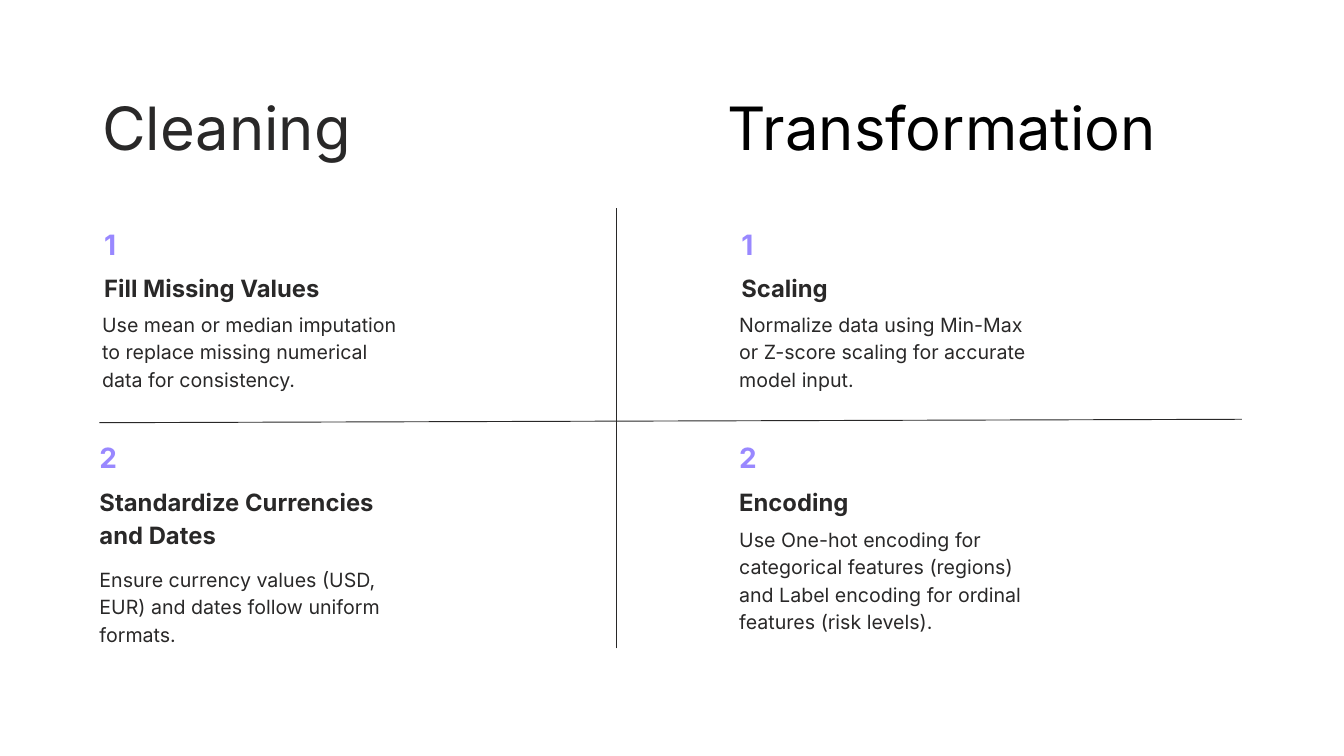
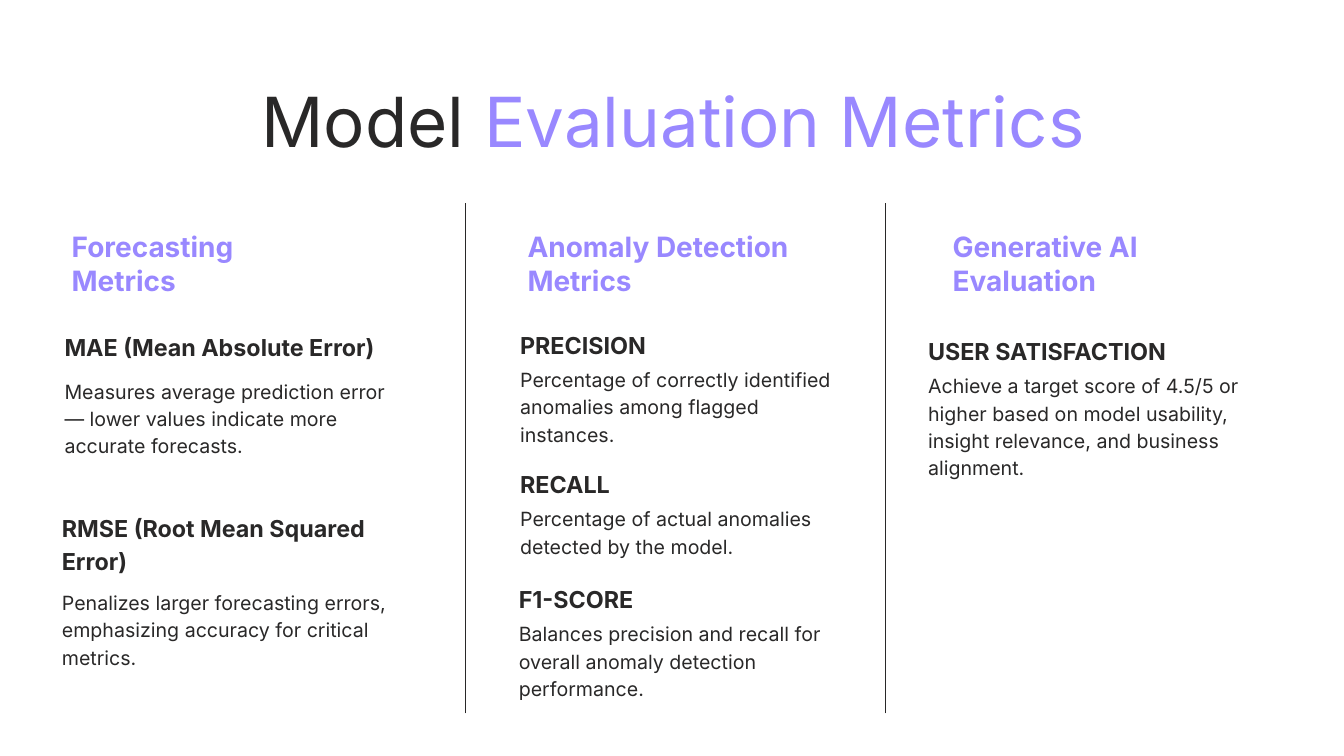
from dataclasses import dataclass

from lxml import etree
from pptx import Presentation
from pptx.dml.color import RGBColor
from pptx.enum.shapes import MSO_CONNECTOR
from pptx.enum.text import MSO_ANCHOR, MSO_AUTO_SIZE, PP_ALIGN
from pptx.oxml.ns import qn
from pptx.util import Cm, Pt

STRAIGHT = MSO_CONNECTOR.STRAIGHT
TOP = MSO_ANCHOR.TOP
GROW = MSO_AUTO_SIZE.SHAPE_TO_FIT_TEXT
LEFT = PP_ALIGN.LEFT
TITLE_ONLY = 5


@dataclass(frozen=True)
class Style:
    size: float
    color: RGBColor
    leading: float = 0
    bold: bool = False


class Theme:
    font = "Inter"
    ink = RGBColor(0x29, 0x28, 0x28)
    black = RGBColor(0, 0, 0)
    accent = RGBColor(0x99, 0x88, 0xFF)
    rule = Pt(1)
    column_title = Style(64, ink, 76.8)
    second_title = Style(64, black, 76.8)
    main_title = Style(74, ink, 103.6)
    number = Style(30, accent, 42, True)
    step = Style(25.5, ink, 35.7, True)
    group = Style(30, accent, bold=True)
    metric = Style(25, ink, 35, True)
    body = Style(21, ink, 29.4)


SLIDE_SIZE = (50.8, 28.58)

PREPARATION_TITLES = ("Cleaning", "Transformation")
TITLE_LEFTS = (3.86, 27.51)
STEP_WIDTH = 11.2
HEADING_DROP = 1.8
STEPS = [
    {"left": 3.94, "body_left": 3.86, "top": 8.38, "number": "1",
     "heading": "Fill Missing Values", "heading_lines": 1, "body_drop": 3.3, "body_lines": 3,
     "body": "Use mean or median imputation to replace missing numerical data for consistency."},
    {"left": 3.76, "body_left": 3.76, "top": 16.46, "number": "2",
     "heading": "Standardize Currencies and Dates", "heading_lines": 2, "body_drop": 4.85, "body_lines": 3,
     "body": "Ensure currency values (USD, EUR) and dates follow uniform formats."},
    {"left": 28.02, "body_left": 27.94, "top": 8.38, "number": "1",
     "heading": "Scaling", "heading_lines": 1, "body_drop": 3.3, "body_lines": 3,
     "body": "Normalize data using Min-Max or Z-score scaling for accurate model input."},
    {"left": 27.94, "body_left": 27.94, "top": 16.46, "number": "2",
     "heading": "Encoding", "heading_lines": 1, "body_drop": 3.35, "body_lines": 4,
     "body": "Use One-hot encoding for categorical features (regions) and "
             "Label encoding for ordinal features (risk levels)."},
]
PREPARATION_RULES = [(3.76, 15.98, 46.94, 15.85), (23.29, 24.51, 23.29, 7.85)]

METRICS_TITLE = ("Model ", "Evaluation Metrics")
METRIC_GROUPS = [
    ("Forecasting Metrics", 2.46, 9.17),
    ("Anomaly Detection Metrics", 19.69, 11.43),
    ("Generative AI Evaluation", 35.76, 11.23),
]
METRIC_WIDTH = 12.62
METRICS = [
    {"left": 2.44, "top": 12.4, "heading": "MAE (Mean Absolute Error)",
     "heading_lines": 1, "body_drop": 1.8, "body_lines": 3,
     "body": "Measures average prediction error — lower values indicate more accurate forecasts."},
    {"left": 2.34, "top": 19.28, "heading": "RMSE (Root Mean Squared Error)",
     "heading_lines": 2, "body_drop": 2.9, "body_lines": 3,
     "body": "Penalizes larger forecasting errors, emphasizing accuracy for critical metrics."},
    {"left": 19.66, "top": 12.34, "heading": "PRECISION",
     "heading_lines": 1, "body_drop": 1.42, "body_lines": 3,
     "body": "Percentage of correctly identified anomalies among flagged instances."},
    {"left": 19.66, "top": 17.6, "heading": "RECALL",
     "heading_lines": 1, "body_drop": 1.42, "body_lines": 2,
     "body": "Percentage of actual anomalies detected by the model."},
    {"left": 19.61, "top": 21.95, "heading": "F1-SCORE",
     "heading_lines": 1, "body_drop": 1.42, "body_lines": 3,
     "body": "Balances precision and recall for overall anomaly detection performance."},
    {"left": 35.08, "top": 12.57, "heading": "USER SATISFACTION",
     "heading_lines": 1, "body_drop": 1.42, "body_lines": 4,
     "body": "Achieve a target score of 4.5/5 or higher based on model usability, "
             "insight relevance, and business alignment."},
]
METRIC_RULES = [(left, 26.97, left, 7.67) for left in (17.58, 33.45)]


def format_span(span, style):
    span.font.name = Theme.font
    span.font.size = Pt(style.size)
    span.font.bold = style.bold
    span.font.color.rgb = style.color


def fill_frame(frame, text, style, inset=0):
    frame.text = text
    frame.word_wrap = True
    frame.auto_size = GROW
    frame.vertical_anchor = TOP
    if inset is not None:
        frame.margin_left = frame.margin_right = Cm(inset)
        frame.margin_top = frame.margin_bottom = Cm(inset)
    para = frame.paragraphs[0]
    para.alignment = LEFT
    para.space_before = Pt(0)
    if style.leading:
        para.line_spacing = Pt(style.leading)
    format_span(para.runs[0], style)


def add_text(shapes, text, style, left, top, width, lines=1):
    box = shapes.add_textbox(Cm(left), Cm(top), Cm(width), Pt(style.leading * lines))
    fill_frame(box.text_frame, text, style)


def set_title(page, text, style, left, top, width, height):
    title = page.shapes.title
    title.left, title.top = Cm(left), Cm(top)
    title.width, title.height = Cm(width), Cm(height)
    fill_frame(title.text_frame, text, style)
    return title


def add_rules(page, rules):
    for rule in rules:
        line = page.shapes.add_connector(STRAIGHT, *(Cm(value) for value in rule))
        line.line.color.rgb = Theme.ink
        line.line.width = Theme.rule
        etree.SubElement(line._element.spPr, qn("a:effectLst"))


def add_entry(shapes, entry, heading_style, heading_drop, width):
    left, top = entry["left"], entry["top"]
    add_text(shapes, entry["heading"], heading_style, left, top + heading_drop,
             width, entry["heading_lines"])
    add_text(shapes, entry["body"], Theme.body, entry.get("body_left", left),
             top + entry["body_drop"], width, entry["body_lines"])


def build_preparation(deck):
    page = deck.slides.add_slide(deck.slide_layouts[TITLE_ONLY])
    first, second = PREPARATION_TITLES
    set_title(page, first, Theme.column_title, TITLE_LEFTS[0], 3.45, 19.43, 2.59)
    add_text(page.shapes, second, Theme.second_title, TITLE_LEFTS[1], 3.45, 19.43)
    for step in STEPS:
        shapes = page.shapes.add_group_shape().shapes
        add_text(shapes, step["number"], Theme.number, step["left"], step["top"], STEP_WIDTH)
        add_entry(shapes, step, Theme.step, HEADING_DROP, STEP_WIDTH)
    add_rules(page, PREPARATION_RULES)


def build_metrics(deck):
    page = deck.slides.add_slide(deck.slide_layouts[TITLE_ONLY])
    lead, highlight = METRICS_TITLE
    title = set_title(page, lead, Theme.main_title, 9.88, 2.44, 33.83, 3.4)
    span = title.text_frame.paragraphs[0].add_run()
    span.text = highlight
    format_span(span, Theme.main_title)
    span.font.color.rgb = Theme.accent
    for name, left, width in METRIC_GROUPS:
        box = page.shapes.add_textbox(Cm(left), Cm(8.56), Cm(width), Cm(2.82))
        fill_frame(box.text_frame, name, Theme.group, inset=None)
    add_rules(page, METRIC_RULES)
    for metric in METRICS:
        shapes = page.shapes.add_group_shape().shapes
        add_entry(shapes, metric, Theme.metric, 0, METRIC_WIDTH)


def main():
    deck = Presentation()
    deck.slide_width, deck.slide_height = (Cm(value) for value in SLIDE_SIZE)
    build_preparation(deck)
    build_metrics(deck)
    deck.save("out.pptx")


if __name__ == "__main__":
    main()
